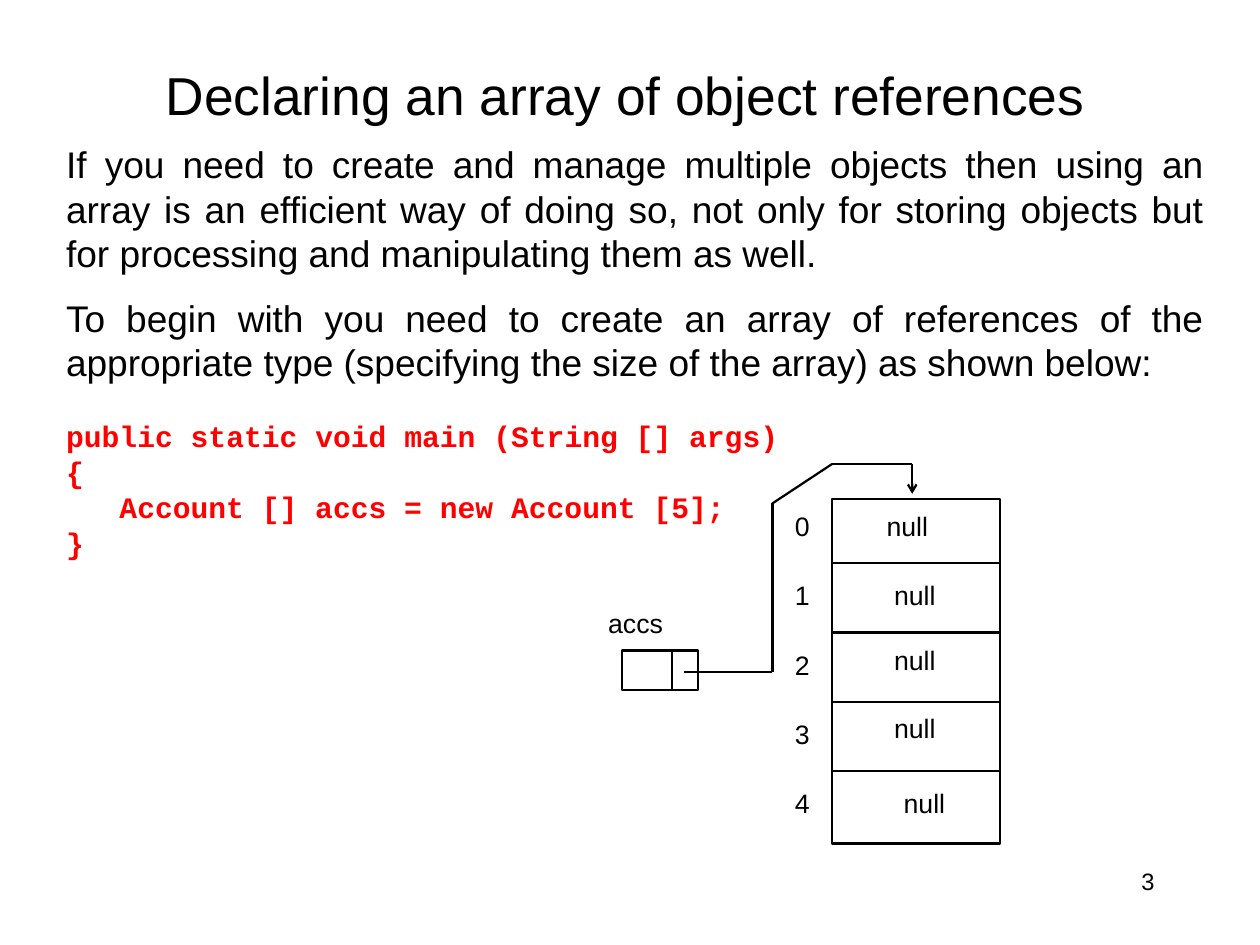
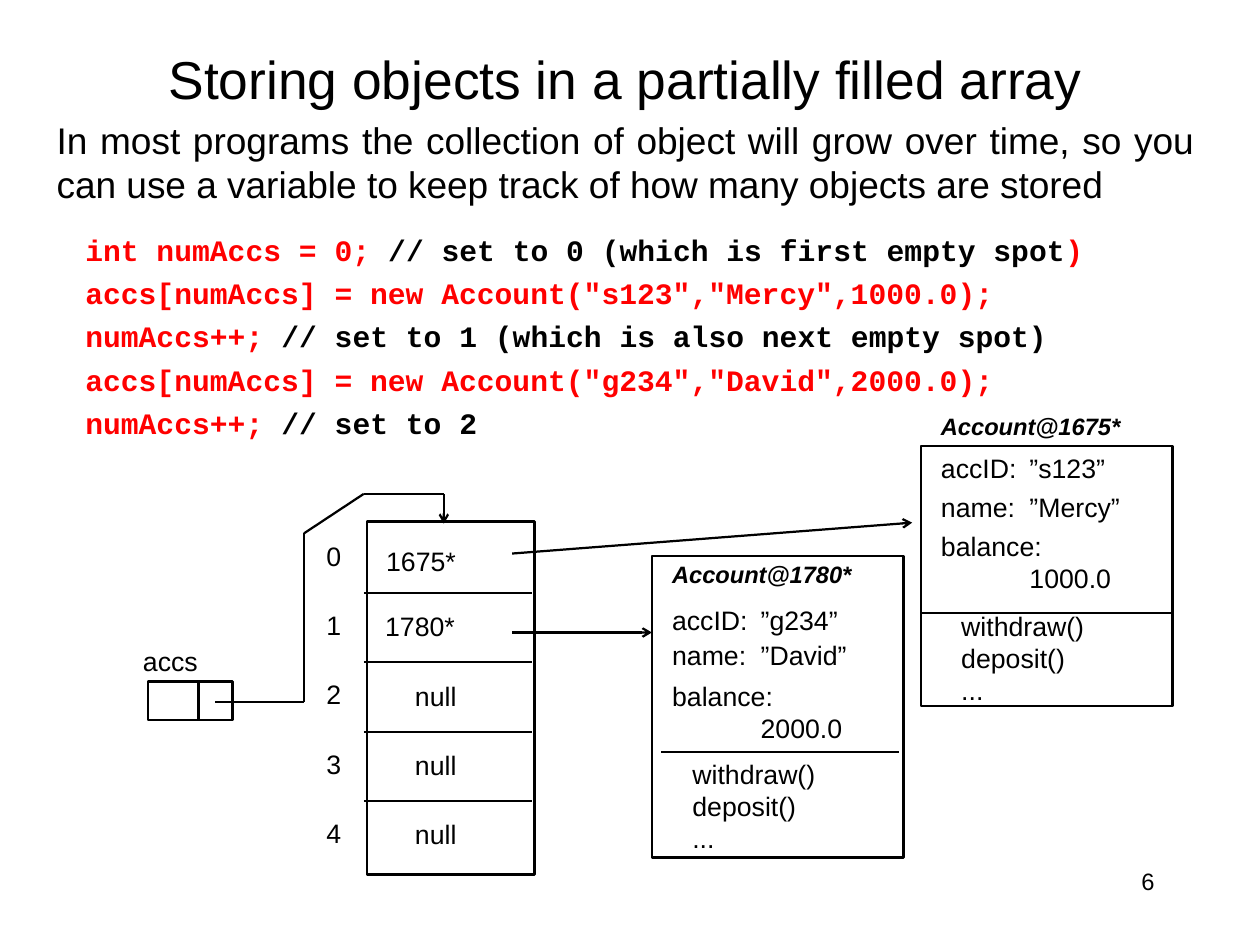
from dataclasses import dataclass, replace
from itertools import pairwise

from lxml.etree import SubElement
from pptx import Presentation
from pptx.dml.color import RGBColor
from pptx.enum.shapes import MSO_CONNECTOR, MSO_SHAPE
from pptx.enum.text import MSO_ANCHOR, PP_ALIGN
from pptx.oxml.ns import qn
from pptx.util import Inches, Pt

BLACK = "000000"
RED = "FF0000"


@dataclass(frozen=True)
class TextStyle:
    size: int = 18
    font: str = "Arial"
    color: str = BLACK
    bold: bool = False
    italic: bool = False


TITLE = TextStyle(36)
PROSE = TextStyle(25)
CODE = TextStyle(20, "Courier New", RED, bold=True)
COMMENT = replace(CODE, color=BLACK)
LABEL = TextStyle()
CARD_NAME = TextStyle(16, bold=True, italic=True)
NUMBER = TextStyle(16)

ROW = 0.65
VALUE_INDENT = 0.83


def rgb(value):
    return RGBColor.from_string(value)


class Deck:
    def __init__(self):
        self.presentation = Presentation()
        self.presentation.slide_width = Inches(11.81)
        self.presentation.slide_height = Inches(8.86)
        self.slide = None

    def add_slide(self, title, top, number):
        layout = self.presentation.slide_layouts.get_by_name("Title Only")
        self.slide = self.presentation.slides.add_slide(layout)
        heading = self.slide.shapes.title
        heading.left, heading.top = Inches(0.79), Inches(top)
        heading.width, heading.height = Inches(10.14), Inches(0.72)
        self.prepare(heading.text_frame)
        self.paragraph(heading.text_frame, [(title, TITLE)], PP_ALIGN.CENTER)
        self.text(8.47, 8.07, 2.46, 0.59, [number], NUMBER, PP_ALIGN.RIGHT)

    def prepare(self, frame):
        frame.word_wrap = True
        frame.vertical_anchor = MSO_ANCHOR.TOP
        frame.margin_left = frame.margin_right = Inches(0.11)
        frame.margin_top = frame.margin_bottom = Inches(0.06)

    def box(self, left, top, width, height):
        frame = self.slide.shapes.add_textbox(
            Inches(left), Inches(top), Inches(width), Inches(height)
        ).text_frame
        self.prepare(frame)
        return frame

    def paragraph(self, frame, runs, align=PP_ALIGN.LEFT, before=0,
                  spacing=1.0, indent=0, tab=0):
        paragraph = frame.paragraphs[0]
        if paragraph.runs:
            paragraph = frame.add_paragraph()
        paragraph.alignment = align
        paragraph.line_spacing = spacing
        paragraph.space_before = Pt(before)
        properties = paragraph._p.get_or_add_pPr()
        if indent:
            properties.set("marL", str(Inches(indent)))
        if tab:
            stops = SubElement(properties, qn("a:tabLst"))
            SubElement(stops, qn("a:tab"), pos=str(Inches(tab)), algn="l")
        for words, style in runs:
            run = paragraph.add_run()
            run.text = words
            run.font.name = style.font
            run.font.size = Pt(style.size)
            run.font.bold = style.bold
            run.font.italic = style.italic
            run.font.color.rgb = rgb(style.color)

    def text(self, left, top, width, height, lines, style=LABEL,
             align=PP_ALIGN.LEFT, tab=0):
        frame = self.box(left, top, width, height)
        for line in lines:
            self.paragraph(frame, [(line, style)], align, tab=tab)

    def outline(self, left, top, width, height):
        shape = self.slide.shapes.add_shape(
            MSO_SHAPE.RECTANGLE,
            Inches(left), Inches(top), Inches(width), Inches(height),
        )
        shape.shadow.inherit = False
        shape.fill.background()
        shape.line.color.rgb = rgb(BLACK)
        shape.line.width = Pt(1.5)

    def line(self, start, end, arrow=False):
        connector = self.slide.shapes.add_connector(
            MSO_CONNECTOR.STRAIGHT, *map(Inches, (*start, *end))
        )
        connector.line.color.rgb = rgb(BLACK)
        connector.line.width = Pt(1.5)
        properties = connector._element.spPr
        if arrow:
            SubElement(properties.find(qn("a:ln")), qn("a:tailEnd"), type="arrow")
        SubElement(properties, qn("a:effectLst"))

    def array(self, x, y, cells, frame, reference, split, name):
        self.outline(*frame)
        for row, (value, left, top) in enumerate(cells):
            self.text(x - 0.46, y + 0.37 + row * ROW, 0.42, 0.42, [str(row)])
            self.text(left, top, 1.0, 0.42, [value])
            if row:
                divider = y + 0.93 + (row - 1) * ROW
                self.line((x, divider), (x + 1.58, divider))
        self.outline(*reference)
        _, top, _, height = reference
        self.line((split, top), (split, top + height))
        self.text(*name, 1.02, 0.42, ["accs"])
        bends = [
            (x - 1.39, y + 1.95), (x - 0.56, y + 1.95), (x - 0.56, y + 0.37),
            (x, y), (x + 0.75, y), (x + 0.75, y + 0.28),
        ]
        for start, end in pairwise(bends):
            self.line(start, end, arrow=end == bends[-1])

    def account(self, left, top, height, rule, tops, address, holder, owner, balance):
        self.outline(left, top, 2.36, height)
        self.line(*rule)
        name_top, id_top, owner_top, balance_top, methods_top = tops
        x = left + 0.08
        self.text(x, name_top, 2.1, 0.38, [f"Account@{address}*"], CARD_NAME)
        self.text(x, id_top, 2.1, 0.42, [f"accID:\t”{holder}”"], tab=VALUE_INDENT)
        self.text(x, owner_top, 2.1, 0.42, [f"name:\t”{owner}”"], tab=VALUE_INDENT)
        amount = self.box(x, balance_top, 2.1, 0.72)
        self.paragraph(amount, [("balance:", LABEL)])
        self.paragraph(amount, [(balance, LABEL)], indent=VALUE_INDENT)
        self.text(left + 0.27, methods_top, 1.5, 1.02, ["withdraw()", "deposit()", "..."])


def declaring_slide(deck):
    deck.add_slide("Declaring an array of object references", 0.52, "3")
    body = deck.box(0.51, 1.27, 10.88, 4.1)
    deck.paragraph(body, [(
        "If you need to create and manage multiple objects then using an array is "
        "an efficient way of doing so, not only for storing objects but for "
        "processing and manipulating them as well.", PROSE)], PP_ALIGN.JUSTIFY)
    deck.paragraph(body, [(
        "To begin with you need to create an array of references of the "
        "appropriate type (specifying the size of the array) as shown below:",
        PROSE)], PP_ALIGN.JUSTIFY, before=13.5)
    for code, before, indent in [
        ("public static void main (String [] args)", 23, 0),
        ("{", 0, 0),
        ("Account [] accs = new Account [5];", 0, 0.5),
        ("}", 0, 0),
    ]:
        deck.paragraph(body, [(code, CODE)], before=before, indent=indent)
    deck.array(
        7.8, 4.35,
        cells=[("null", 8.2, 4.72), ("null", 8.27, 5.37), ("null", 8.27, 5.98),
               ("null", 8.27, 6.61), ("null", 8.36, 7.32)],
        frame=(7.8, 4.68, 1.57, 3.23),
        reference=(5.83, 6.1, 0.71, 0.37), split=6.3, name=(5.59, 5.63),
    )


def storing_slide(deck):
    deck.add_slide("Storing objects in a partially filled array", 0.37, "6")
    deck.text(0.42, 1.04, 10.88, 1.34, [
        "In most programs the collection of object will grow over time, so you can "
        "use a variable to keep track of how many objects are stored",
    ], PROSE, PP_ALIGN.JUSTIFY)
    listing = deck.box(0.69, 2.22, 9.8, 2.02)
    for statement in [
        [("int numAccs = 0; ", CODE),
         ("// set to 0 (which is first empty spot", COMMENT), (")", CODE)],
        [('accs[numAccs] = new Account("s123","Mercy",1000.0);', CODE)],
        [("numAccs++; ", CODE),
         ("// set to 1 (which is also next empty spot)", COMMENT)],
        [('accs[numAccs] = new Account("g234","David",2000.0);', CODE)],
        [("numAccs++; ", CODE), ("// set to 2", COMMENT)],
    ]:
        deck.paragraph(listing, statement, PP_ALIGN.JUSTIFY, before=13.5, spacing=0.65)
    deck.array(
        3.41, 4.63,
        cells=[("1675*", 3.51, 5.05), ("1780*", 3.5, 5.66), ("null", 3.78, 6.31),
               ("null", 3.78, 6.96), ("null", 3.78, 7.61)],
        frame=(3.44, 4.89, 1.57, 3.31),
        reference=(1.39, 6.39, 0.79, 0.36), split=1.86, name=(1.23, 5.99),
    )
    deck.account(8.63, 4.18, 2.44, ((8.63, 5.75), (11, 5.75)),
                 (3.8, 4.18, 4.54, 4.91, 5.66), "1675", "s123", "Mercy", "1000.0")
    deck.account(6.11, 5.21, 2.83, ((6.2, 7.05), (8.43, 7.05)),
                 (5.19, 5.6, 5.93, 6.31, 7.05), "1780", "g234", "David", "2000.0")
    deck.line((4.8, 5.19), (8.55, 4.9), arrow=True)
    deck.line((4.8, 5.93), (6.11, 5.93), arrow=True)


def main():
    deck = Deck()
    declaring_slide(deck)
    storing_slide(deck)
    deck.presentation.save("out.pptx")


if __name__ == "__main__":
    main()
